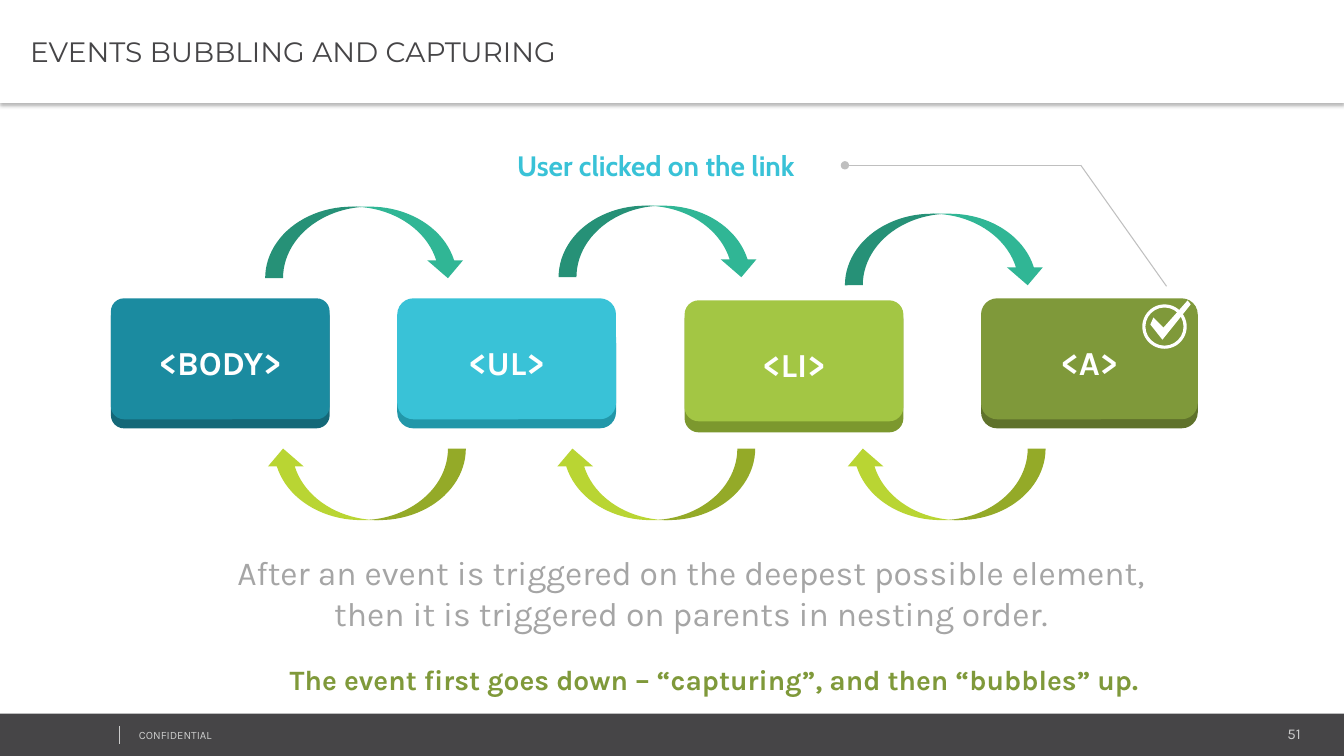
from dataclasses import dataclass
from typing import Optional

from lxml.etree import SubElement
from pptx import Presentation
from pptx.dml.color import RGBColor
from pptx.enum.shapes import MSO_CONNECTOR as Connector, MSO_SHAPE as Shape
from pptx.enum.text import MSO_ANCHOR as Anchor, PP_ALIGN as Align
from pptx.oxml.ns import qn
from pptx.util import Inches, Pt

COLOURS = {
    "white": "FFFFFF", "dark": "464547", "footer": "CCCCCC", "body": "A5A5A5",
    "callout": "BFBFBF", "cyan": "39C2D7", "olive": "7F993A",
    "teal": "1B8BA0", "teal edge": "146878", "cyan edge": "2297A9",
    "lime": "A3C644", "lime edge": "7C982E", "olive edge": "5F722B",
    "capture": "30B695", "bubble": "B9D533",
}


@dataclass(frozen=True)
class Box:
    left: float
    top: float
    width: float
    height: float

    def lengths(self) -> list:
        return [Inches(v) for v in (self.left, self.top, self.width, self.height)]


@dataclass(frozen=True)
class Style:
    size: float
    colour: str
    font: str = "Karla"
    bold: bool = False
    align: Align = Align.LEFT
    anchor: Anchor = Anchor.TOP
    margins: tuple = (0.1, 0.05, 0.1, 0.05)


@dataclass(frozen=True)
class Label:
    text: str
    box: Box
    style: Style


@dataclass(frozen=True)
class Card:
    tag: str
    left: float
    colour: str
    top: float = 2.96
    width: float = 2.17
    edge_top: float = 3.01
    edge_height: float = 1.24
    radius: float = 0.16


@dataclass(frozen=True)
class Arrow:
    left: float
    top: float
    colour: str
    rotation: int = 0


FACE_HEIGHT = 1.2
TAG_STYLE = Style(24, "white", bold=True, align=Align.CENTER, anchor=Anchor.MIDDLE,
                  margins=(0.04, 0.09, 0.04, 0.02))
TITLE = Label("EVENTS BUBBLING AND CAPTURING", Box(0, 0, 13.33, 1.02),
              Style(20, "dark", "Montserrat", anchor=Anchor.MIDDLE,
                    margins=(0.3, 0.04, 0.07, 0.04)))
CLICK = Label("User clicked on the link", Box(5.03, 1.42, 3.35, 0.44),
              Style(20, "cyan", "Cabin", bold=True))
LABELS = [
    Label("51", Box(10.82, 7.14, 2.18, 0.28), Style(10.7, "footer", align=Align.RIGHT)),
    Label("CONFIDENTIAL", Box(1.28, 7.18, 3.38, 0.24), Style(8, "footer")),
    Label("After an event is triggered on the deepest possible element,\n"
          "then it is triggered on parents in nesting order.",
          Box(1.32, 5.43, 11.07, 0.91), Style(24, "body", align=Align.CENTER)),
    Label("The event first goes down – “capturing”, and then “bubbles” up.",
          Box(1.94, 6.52, 10.29, 0.44),
          Style(20, "olive", bold=True, align=Align.CENTER)),
]
CARDS = [
    Card("<BODY>", 1.1, "teal", radius=0.13),
    Card("<UL>", 3.94, "cyan"),
    Card("<LI>", 6.79, "lime", top=2.98, edge_top=3.03, edge_height=1.26, radius=0.14),
    Card("<A>", 9.73, "olive", width=2.15, edge_top=3.05, edge_height=1.2),
]
ARROWS = [
    Arrow(2.63, 2.05, "capture"),
    Arrow(5.54, 2.04, "capture"),
    Arrow(8.38, 2.12, "capture"),
    *[Arrow(left, 4.45, "bubble", 180) for left in (2.63, 5.5, 8.38)],
]
TICK = [(11.44, 3.15), (11.54, 3.25), (11.78, 2.98), (11.81, 3.02), (11.53, 3.37), (11.41, 3.22)]


def rgb(name: str) -> RGBColor:
    return RGBColor.from_string(COLOURS[name])


def paint(shape, colour: str) -> None:
    shape.shadow.inherit = False
    shape.fill.solid()
    shape.fill.fore_color.rgb = rgb(colour)
    shape.line.fill.background()


def add_filled(slide, kind: Shape, box: Box, colour: str):
    shape = slide.shapes.add_shape(kind, *box.lengths())
    paint(shape, colour)
    return shape


def write(shape, text: str, style: Style) -> None:
    frame = shape.text_frame
    frame.word_wrap = True
    frame.vertical_anchor = style.anchor
    (frame.margin_left, frame.margin_top,
     frame.margin_right, frame.margin_bottom) = map(Inches, style.margins)
    para = frame.paragraphs[0]
    para.text = text
    para.alignment = style.align
    for span in para.runs:
        span.font.name = style.font
        span.font.size = Pt(style.size)
        span.font.bold = style.bold
        span.font.color.rgb = rgb(style.colour)


def add_label(slide, label: Label):
    box = slide.shapes.add_textbox(*label.box.lengths())
    write(box, label.text, label.style)
    return box


def add_line(slide, start: tuple, end: tuple, colour: str, tail: Optional[str] = None):
    line = slide.shapes.add_connector(Connector.STRAIGHT, *map(Inches, start + end))
    line.line.color.rgb = rgb(colour)
    line.line.width = Pt(0.75)
    if tail:
        SubElement(line.line._get_or_add_ln(), qn("a:tailEnd"), type=tail)
    SubElement(line._element.spPr, qn("a:effectLst"))
    return line


def add_card(slide, card: Card) -> None:
    layers = [
        (Box(card.left, card.edge_top, card.width, card.edge_height), card.colour + " edge"),
        (Box(card.left, card.top, card.width, FACE_HEIGHT), card.colour),
    ]
    for box, colour in layers:
        layer = add_filled(slide, Shape.ROUNDED_RECTANGLE, box, colour)
        layer.adjustments[0] = card.radius / box.height
    write(layer, card.tag, TAG_STYLE)


def add_arrow(slide, arrow: Arrow) -> None:
    box = Box(arrow.left, arrow.top, 1.99, 0.71)
    shape = add_filled(slide, Shape.CURVED_DOWN_ARROW, box, arrow.colour)
    shape.rotation = arrow.rotation
    for index, value in enumerate((0.25, 0.5, 0.25)):
        shape.adjustments[index] = value


def add_check(slide) -> None:
    ring = add_filled(slide, Shape.DONUT, Box(11.33, 3.02, 0.44, 0.44), "white")
    ring.adjustments[0] = 0.07
    points = [(Inches(x), Inches(y)) for x, y in TICK]
    builder = slide.shapes.build_freeform(*points[0])
    builder.add_line_segments(points[1:], close=True)
    paint(builder.convert_to_shape(), "white")


def add_callout(slide) -> None:
    box = add_label(slide, CLICK)
    bend = (10.72, 1.64)
    add_line(slide, (11.57, 2.84), bend, "callout")
    lead = add_line(slide, bend, (8.38, 1.64), "callout", "oval")
    lead.end_connect(box, 3)


def add_title(slide) -> None:
    bar = add_filled(slide, Shape.RECTANGLE, TITLE.box, "white")
    effects = bar._element.spPr.find(qn("a:effectLst"))
    shadow = SubElement(effects, qn("a:outerShdw"), blurRad=str(Pt(3.1)), dist=str(Pt(2)),
                        dir="5400000", algn="t", rotWithShape="0")
    tint = SubElement(shadow, qn("a:srgbClr"), val="000000")
    SubElement(tint, qn("a:alpha"), val="30000")
    write(bar, TITLE.text, TITLE.style)


def main() -> None:
    deck = Presentation()
    deck.slide_width, deck.slide_height = Inches(13.33), Inches(7.5)
    page = deck.slides.add_slide(deck.slide_layouts[6])
    add_filled(page, Shape.RECTANGLE, Box(0, 7.08, 13.33, 0.42), "dark")
    add_line(page, (1.19, 7.2), (1.19, 7.38), "footer")
    for label in LABELS:
        add_label(page, label)
    for card in CARDS:
        add_card(page, card)
    for arrow in ARROWS:
        add_arrow(page, arrow)
    add_check(page)
    add_callout(page)
    add_title(page)
    deck.save("out.pptx")


if __name__ == "__main__":
    main()
